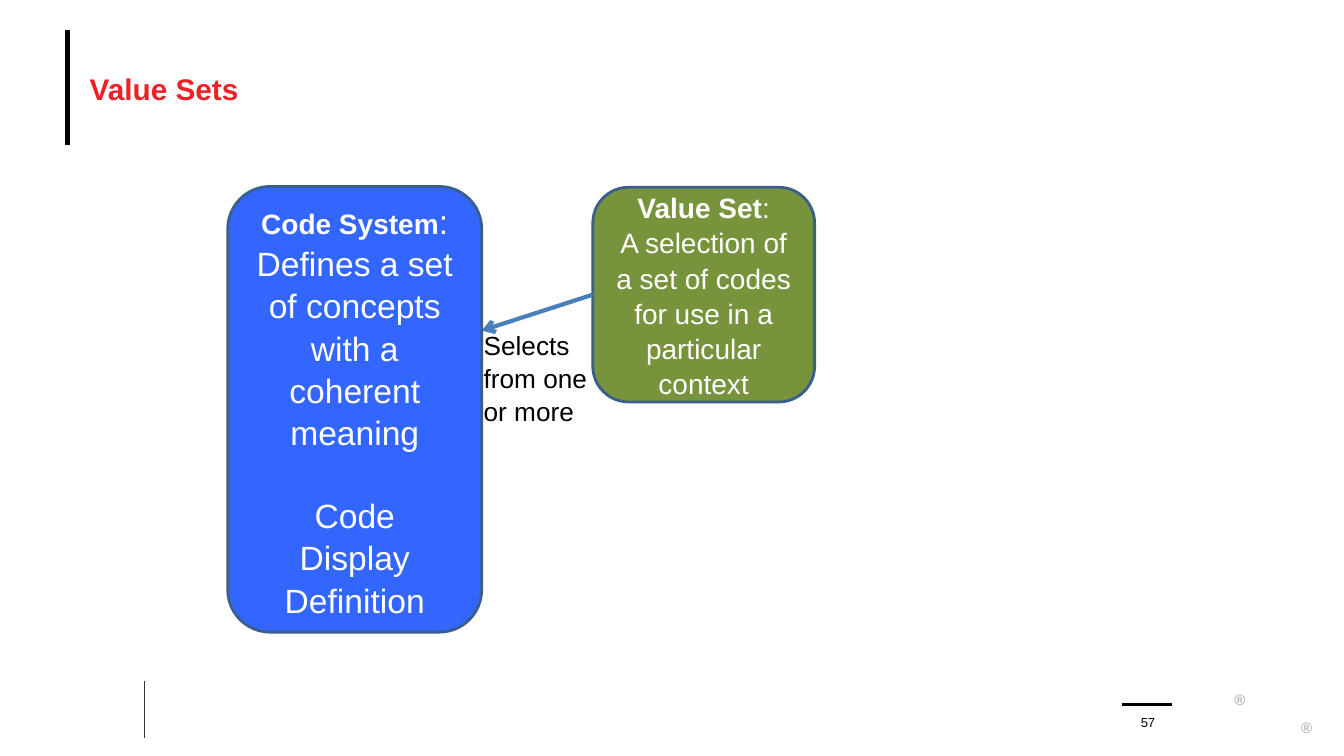
"""Build the Value Sets slide: a value set selecting from a code system."""
import pptx
import pptx.util
import pptx.dml.color
import pptx.enum.shapes
import pptx.enum.text
import pptx.oxml.ns
import pptx.oxml.xmlchemy

Cm, Pt = pptx.util.Cm, pptx.util.Pt
ALIGN = pptx.enum.text.PP_ALIGN
ANCHOR = pptx.enum.text.MSO_ANCHOR

COLORS = {
    "red": "EC2227", "black": "000000", "white": "FFFFFF", "gray": "A6A6A6",
    "brown": "3D3029", "green": "77933C", "blue": "3366FF",
    "outline": "3A5F8C", "arrow": "4B7EBC",
}
FONT = "Arial"
LINE_SPACING = 1.05
SECTION_GAP = 28.8

TITLE = ("Value Sets", (2.26, 0.76, 30.48, 2.9))
VALUE_SET = {
    "box": (14.94, 4.72, 5.59, 5.41), "fill": "green",
    "paragraphs": [
        [("Value Set", 20, True), (":", 20, False)],
        [("A selection of a set of codes for use in a particular context", 20, False)],
    ],
}
CODE_SYSTEM = {
    "box": (5.74, 4.7, 6.4, 11.23), "fill": "blue",
    "paragraphs": [
        [("Code System", 20, True), (":", 24, False)],
        [("Defines a set of concepts with a coherent meaning", 24, False)],
        [("Code", 24, False)],
        [("Display", 24, False)],
        [("Definition", 24, False)],
    ],
    "section_start": 2,
}
ARROW_END_Y = 8.33
SELECTS_LABEL = ("Selects from one or more", (11.94, 8.13, 3.73, 2.64))
PAGE_NUMBER = ("57", (28.42, 17.75, 1.02, 0.64))
REGISTERED_MARKS = [(31.1, 17.27, 0.3, 0.71), (32.78, 17.96, 0.3, 0.71)]
RULES = [
    ((3.63, 17.17), (3.63, 18.59), "brown", 0.5),
    ((1.7, 0.76), (1.7, 3.66), "black", 3.25),
    ((28.27, 17.75), (29.54, 17.75), "black", 2),
]


def rgb(color):
    return pptx.dml.color.RGBColor.from_string(COLORS[color])


def write(frame, paragraphs, color, align=ALIGN.LEFT, anchor=ANCHOR.TOP, inset=None):
    frame.word_wrap = True
    frame.auto_size = pptx.enum.text.MSO_AUTO_SIZE.NONE
    frame.vertical_anchor = anchor
    if inset is not None:
        frame.margin_left = frame.margin_right = Cm(inset)
        frame.margin_top = frame.margin_bottom = Cm(inset)
    for index, runs in enumerate(paragraphs):
        paragraph = frame.add_paragraph() if index else frame.paragraphs[0]
        paragraph.alignment = align
        paragraph.line_spacing = LINE_SPACING
        for text, size, bold in runs:
            run = paragraph.add_run()
            run.text = text
            run.font.name = FONT
            run.font.size = Pt(size)
            run.font.bold = bold
            run.font.color.rgb = rgb(color)


def add_label(slide, text, box, size, color, **layout):
    label = slide.shapes.add_textbox(*map(Cm, box))
    write(label.text_frame, [[(text, size, False)]], color, **layout)


def add_line(slide, start, end, color, width):
    line = slide.shapes.add_connector(
        pptx.enum.shapes.MSO_CONNECTOR.STRAIGHT, *map(Cm, (*start, *end)))
    line.line.color.rgb = rgb(color)
    line.line.width = Pt(width)
    line._element.spPr.append(pptx.oxml.xmlchemy.OxmlElement("a:effectLst"))
    return line


def add_concept(slide, concept):
    card = slide.shapes.add_shape(
        pptx.enum.shapes.MSO_SHAPE.ROUNDED_RECTANGLE, *map(Cm, concept["box"]))
    card.shadow.inherit = False
    card.fill.solid()
    card.fill.fore_color.rgb = rgb(concept["fill"])
    card.line.color.rgb = rgb("outline")
    card.line.width = Pt(2)
    write(card.text_frame, concept["paragraphs"], "white", ALIGN.CENTER, ANCHOR.MIDDLE)
    if "section_start" in concept:
        section = card.text_frame.paragraphs[concept["section_start"]]
        section.space_before = Pt(SECTION_GAP)


def add_selection_arrow(slide):
    left, top, _, height = VALUE_SET["box"]
    target_left, _, target_width, _ = CODE_SYSTEM["box"]
    arrow = add_line(slide, (left, top + height / 2),
                     (target_left + target_width, ARROW_END_Y), "arrow", 3)
    head = pptx.oxml.xmlchemy.OxmlElement("a:tailEnd")
    head.set("type", "arrow")
    arrow._element.spPr.find(pptx.oxml.ns.qn("a:ln")).append(head)


def main():
    deck = pptx.Presentation()
    deck.slide_width, deck.slide_height = Cm(33.87), Cm(19.05)
    slide = deck.slides.add_slide(deck.slide_layouts[5])

    for rule in RULES:
        add_line(slide, *rule)
    for box in REGISTERED_MARKS:
        add_label(slide, "®", box, 10.7, "gray",
                  align=ALIGN.CENTER, anchor=ANCHOR.MIDDLE, inset=0)

    heading, box = TITLE
    title = slide.shapes.title
    title.left, title.top, title.width, title.height = map(Cm, box)
    write(title.text_frame, [[(heading, 21.3, True)]], "red",
          anchor=ANCHOR.MIDDLE, inset=0)

    add_label(slide, *PAGE_NUMBER, 9.3, "black",
              align=ALIGN.CENTER, anchor=ANCHOR.BOTTOM, inset=0)
    add_concept(slide, VALUE_SET)
    add_selection_arrow(slide)
    add_label(slide, *SELECTS_LABEL, 18.7, "black")
    add_concept(slide, CODE_SYSTEM)
    deck.save("out.pptx")


if __name__ == "__main__":
    main()
